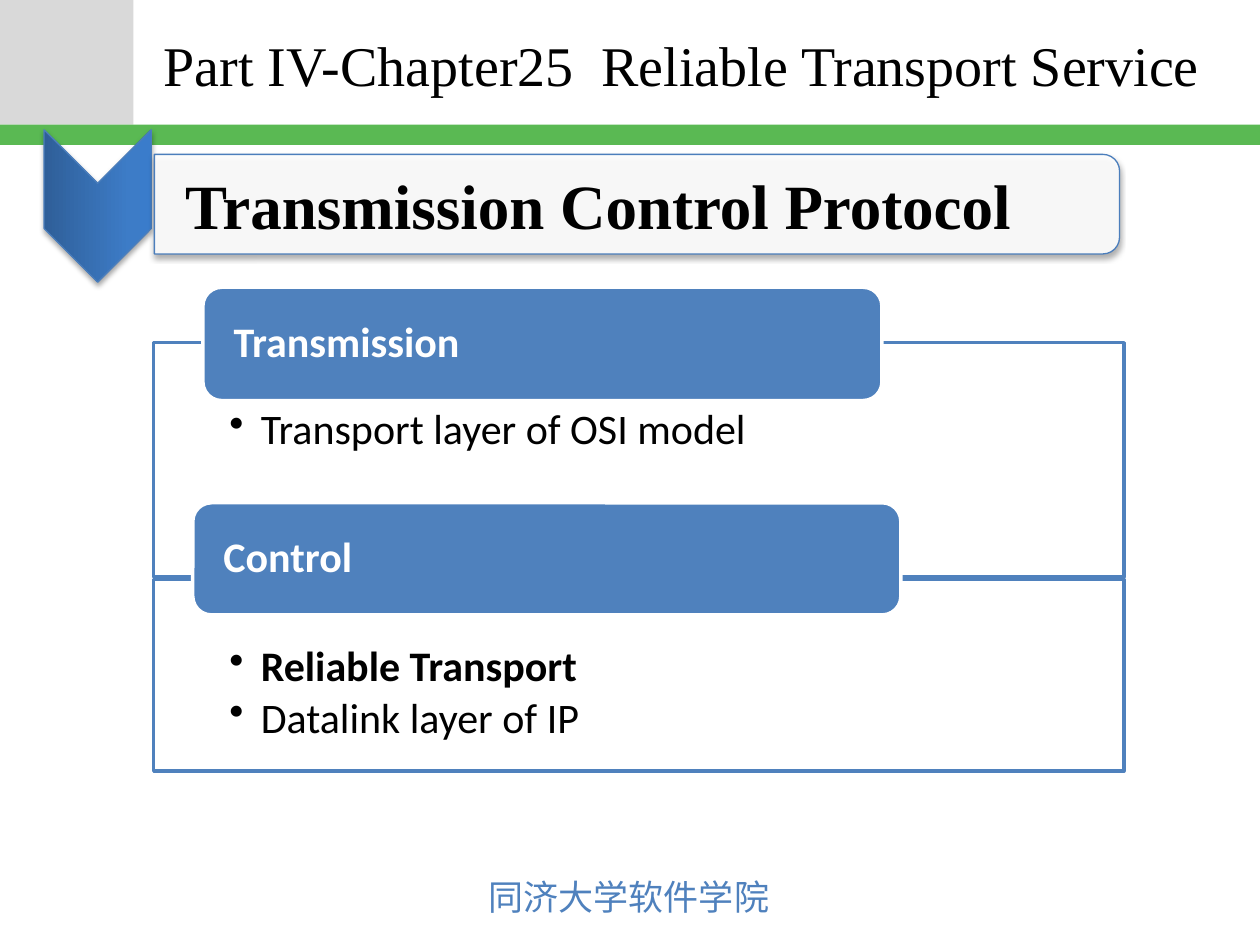
from copy import deepcopy

from lxml import etree
from pptx import Presentation
from pptx.dml.color import RGBColor
from pptx.enum.shapes import MSO_SHAPE
from pptx.enum.text import MSO_ANCHOR, PP_ALIGN
from pptx.oxml.ns import qn
from pptx.util import Inches, Pt

RECT = MSO_SHAPE.RECTANGLE
ROUND = MSO_SHAPE.ROUNDED_RECTANGLE
TAB = MSO_SHAPE.ROUND_2_SAME_RECTANGLE
CHEVRON = MSO_SHAPE.CHEVRON
TOP, MIDDLE = MSO_ANCHOR.TOP, MSO_ANCHOR.MIDDLE
LEFT = PP_ALIGN.LEFT

BLACK = RGBColor(0, 0, 0)
WHITE = RGBColor(255, 255, 255)
GRAY = RGBColor(0xD9, 0xD9, 0xD9)
GREEN = RGBColor(0x5A, 0xB9, 0x53)
BLUE = RGBColor(0x4F, 0x81, 0xBD)
EDGE = RGBColor(0x4B, 0x7E, 0xBC)
SHADES = ((0, RGBColor(0x2F, 0x5F, 0x99)),
          (0.8, RGBColor(0x3D, 0x7C, 0xC7)),
          (1, RGBColor(0x3A, 0x7C, 0xCB)))

SERIF, SANS, HAN = "Times New Roman", "Calibri", "Noto Sans CJK JP"
INSET = (0.1, 0.05, 0.1, 0.05)


def add(node, tag, **attrs):
    return etree.SubElement(node, qn(tag), **attrs)


class Deck:
    def __init__(self, slide):
        self.slide = slide

    def shape(self, kind, box, fill=None, line=None, width=0.75, turn=0):
        item = self.slide.shapes.add_shape(kind, *map(Inches, box))
        item.shadow.inherit = False
        item.rotation = turn
        if fill is not None:
            item.fill.solid()
            item.fill.fore_color.rgb = fill
        if line is None:
            item.line.fill.background()
        else:
            item.line.color.rgb = line
            item.line.width = Pt(width)
        return item

    def fade(self, item):
        """Make a solid fill 90 % opaque."""
        color = item._element.spPr.find(qn("a:solidFill"))[0]
        add(color, "a:alpha", val="90000")

    def blend(self, item):
        """Fill a shape with the three blue shades."""
        item.fill.gradient()
        item.fill.gradient_angle = 90
        first = item._element.spPr.find(".//" + qn("a:gs"))
        first.addnext(deepcopy(first))
        for stop, (place, color) in zip(item.fill.gradient_stops, SHADES):
            stop.position = place
            stop.color.rgb = color

    def shade(self, item):
        """Give a shape a soft shadow straight below it."""
        effect = item._element.spPr.find(qn("a:effectLst"))
        outer = add(effect, "a:outerShdw", blurRad=str(Pt(3.1)),
                    dist=str(Pt(1.8)), dir="5400000", rotWithShape="0")
        color = add(outer, "a:srgbClr", val=str(BLACK))
        add(color, "a:alpha", val="35000")

    def text(self, item, lines, size, face, color, inset=INSET,
             anchor=TOP, wrap=True, bullet=False, tight=False):
        """Fill a shape with (words, bold) lines."""
        frame = item.text_frame
        frame.word_wrap = wrap
        frame.vertical_anchor = anchor
        (frame.margin_left, frame.margin_top,
         frame.margin_right, frame.margin_bottom) = map(Inches, inset)
        for i, (words, bold) in enumerate(lines):
            para = frame.add_paragraph() if i else frame.paragraphs[0]
            para.text = words
            para.alignment = LEFT
            if tight:
                para.line_spacing = 0.9
                para.space_after = Pt(3.6)
            if bullet:
                props = para._p.get_or_add_pPr()
                props.set("marL", str(Inches(0.25)))
                props.set("indent", str(Inches(-0.25)))
                add(props, "a:buChar", char="•")
            font = para.font
            font.name, font.size, font.bold = face, Pt(size), bold
            font.color.rgb = color
            if face == HAN:
                for run in para.runs:
                    add(run._r.get_or_add_rPr(), "a:ea", typeface=HAN)

    def label(self, box, words, size, face, color, bold=False, **style):
        item = self.slide.shapes.add_textbox(*map(Inches, box))
        self.text(item, [(words, bold)], size, face, color, **style)

    def panel(self, top, height, head, name, lines):
        """An outlined list with a header card over its top edge."""
        body = self.shape(RECT, (1.22, top, 7.7, height), WHITE, BLUE, 2)
        self.fade(body)
        self.text(body, lines, 24, SANS, BLACK, bullet=True, tight=True,
                  inset=(0.6, 0.52, 0.6, 0.19))
        card = self.shape(ROUND, head, BLUE, WHITE, 2)
        self.text(card, [(name, True)], 24, SANS, WHITE, anchor=MIDDLE,
                  tight=True, inset=(0.2, 0, 0.2, 0))


def main():
    show = Presentation()
    show.slide_width, show.slide_height = Inches(10), Inches(7.5)
    deck = Deck(show.slides.add_slide(show.slide_layouts[6]))

    # Frame and title
    deck.shape(RECT, (0, 0, 1.06, 0.99), GRAY)
    deck.shape(RECT, (0, 0.99, 10, 0.16), GREEN)
    deck.label((3.78, 6.9, 2.45, 0.44), "同济大学软件学院", 20, HAN, BLUE,
               wrap=False)
    deck.label((1.2, 0.02, 8.6, 0.98),
               "Part IV-Chapter25  Reliable Transport Service",
               32, SERIF, BLACK, anchor=MIDDLE)

    # Topic banner
    arrow = deck.shape(CHEVRON, (0.17, 1.21, 1.21, 0.85), line=EDGE, turn=90)
    deck.blend(arrow)
    deck.shade(arrow)
    banner = deck.shape(TAB, (4.66, -2.21, 0.79, 7.66), WHITE, EDGE, turn=90)
    deck.fade(banner)
    deck.shade(banner)
    deck.label((1.22, 1.27, 7.63, 0.71), "Transmission Control Protocol",
               36, SERIF, BLACK, bold=True, anchor=MIDDLE,
               inset=(0.25, 0.02, 0.02, 0.02))

    # Panels
    deck.panel(2.72, 1.86, (1.61, 2.28, 5.39, 0.9), "Transmission",
               [("Transport layer of OSI model", False)])
    deck.panel(4.6, 1.52, (1.53, 3.99, 5.62, 0.89), "Control",
               [("Reliable Transport", True),
                ("Datalink layer of IP", False)])

    show.save("out.pptx")


if __name__ == "__main__":
    main()
